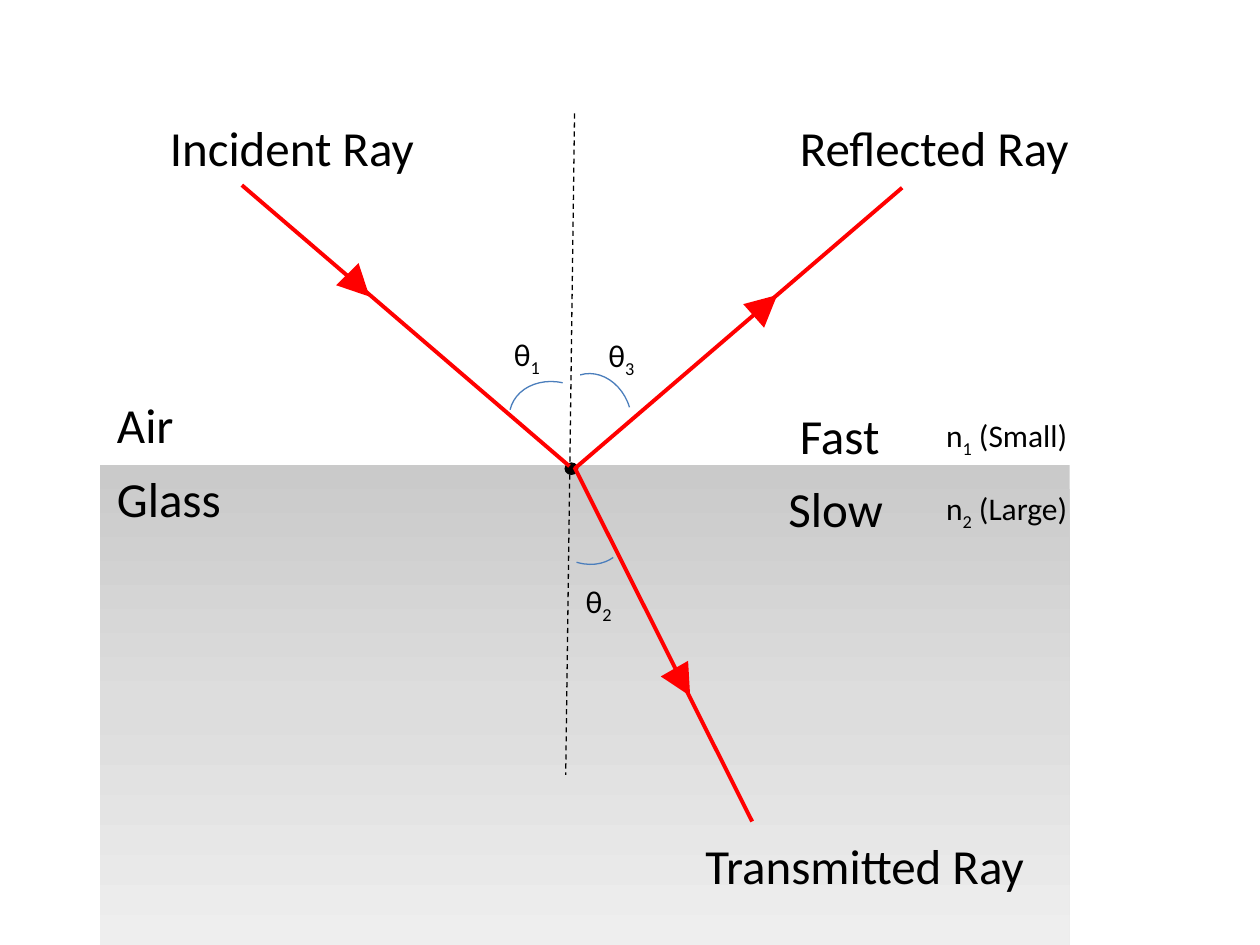
from copy import deepcopy
from dataclasses import dataclass

from pptx import Presentation
from pptx.dml.color import RGBColor
from pptx.enum.dml import MSO_LINE
from pptx.enum.shapes import MSO_CONNECTOR, MSO_SHAPE as SHAPE
from pptx.enum.text import MSO_AUTO_SIZE as AUTO_SIZE
from pptx.oxml.ns import qn
from pptx.util import Emu, Pt
from lxml.etree import SubElement

PX = 9144


@dataclass(frozen=True)
class Theme:
    font: str = "Calibri"
    label_size: int = 28
    symbol_size: int = 18
    ray_width: float = 2.25
    thin_width: float = 0.75
    ink: str = "000000"
    ray: str = "FF0000"
    arc: str = "4B7EBC"
    glass: tuple = ("CACACA", "DDDDDD", "EEEEEE")


@dataclass(frozen=True)
class Box:
    left: int
    top: int
    width: int
    height: int

    def inner(self, x, y, width, height):
        return Box(self.left + x, self.top + y, width, height)

    def emu(self):
        return [Emu(value * PX) for value in (self.left, self.top, self.width, self.height)]


THEME = Theme()


def color(name):
    return RGBColor.from_string(name)


def add_solid(slide, kind, box, fill, rotation=0):
    shape = slide.shapes.add_shape(kind, *box.emu())
    shape.shadow.inherit = False
    shape.fill.solid()
    shape.fill.fore_color.rgb = color(fill)
    shape.line.fill.background()
    shape.rotation = rotation
    return shape


def add_line(slide, box, start, end, line_color, width, dash=None):
    points = [(box.left + x, box.top + y) for x, y in (start, end)]
    ends = [Emu(value * PX) for point in points for value in point]
    connector = slide.shapes.add_connector(MSO_CONNECTOR.STRAIGHT, *ends)
    connector.line.color.rgb = color(line_color)
    connector.line.width = Pt(width)
    if dash is not None:
        connector.line.dash_style = dash
    SubElement(connector._element.spPr, qn("a:effectLst"))


def add_ray(slide, box, start, end, marker, rotation):
    add_line(slide, box, start, end, THEME.ray, THEME.ray_width)
    add_solid(slide, SHAPE.ISOSCELES_TRIANGLE, box.inner(*marker, 25, 25), THEME.ray, rotation)


def add_arc(slide, box, x, y, rotation, angles=()):
    shape = slide.shapes.add_shape(SHAPE.ARC, *box.inner(x, y, 60, 72).emu())
    shape.shadow.inherit = False
    shape.fill.background()
    shape.line.color.rgb = color(THEME.arc)
    shape.line.width = Pt(THEME.thin_width)
    shape.rotation = rotation
    for index, angle in enumerate(angles):
        shape.adjustments[index] = angle


def add_text(slide, box, size, text, subscript="", suffix="", wrap=False):
    frame = slide.shapes.add_textbox(*box.emu()).text_frame
    frame.word_wrap = wrap
    frame.auto_size = AUTO_SIZE.SHAPE_TO_FIT_TEXT
    paragraph = frame.paragraphs[0]
    for part, baseline in ((text, 0), (subscript, -25000), (suffix, 0)):
        if not part:
            continue
        run = paragraph.add_run()
        run.text = part
        run.font.name = THEME.font
        run.font.size = Pt(size)
        run.font.color.rgb = color(THEME.ink)
        if baseline:
            run._r.get_or_add_rPr().set("baseline", str(baseline))


def add_label(slide, box, x, y, width, text, wrap=False):
    add_text(slide, box.inner(x, y, width, 57), THEME.label_size, text, wrap=wrap)


def add_symbol(slide, box, x, y, width, text, subscript, suffix=""):
    add_text(slide, box.inner(x, y, width, 40), THEME.symbol_size, text, subscript, suffix)


def draw_glass_body(slide, box):
    shape = add_solid(slide, SHAPE.RECTANGLE, box, THEME.glass[0])
    shape.fill.gradient()
    shape.fill.gradient_angle = 270
    first = shape._element.spPr.find(".//" + qn("a:gs"))
    middle = deepcopy(first)
    first.addnext(middle)
    for stop, name, position in zip(shape.fill.gradient_stops, THEME.glass, (0, 0.5, 1)):
        stop.color.rgb = color(name)
        stop.position = position


def draw_boundary(slide, box):
    add_line(slide, box, (377, 2), (370, 527), THEME.ink, THEME.thin_width, MSO_LINE.DASH)
    add_solid(slide, SHAPE.OVAL, box.inner(369, 279, 11, 10), THEME.ink)


def draw_air(slide, box):
    add_ray(slide, box, (113, 59), (373, 282), (193, 126), 135.4)
    add_ray(slide, box, (377, 284), (637, 61), (516, 142), 48.5)
    add_symbol(slide, box, 394, 174, 42, "θ", "3")
    add_symbol(slide, box, 319, 173, 42, "θ", "1")
    add_label(slide, box, 4, 220, 75, "Air", wrap=True)
    add_label(slide, box, 46, 0, 216, "Incident Ray")
    add_label(slide, box, 546, 0, 236, "Reflected Ray")
    add_label(slide, box, 546, 229, 100, "Fast", wrap=True)
    add_symbol(slide, box, 662, 237, 119, "n", "1", " (Small)")
    add_arc(slide, box, 362, 208, 343.1)
    add_arc(slide, box, 331, 209, 282.7)


def draw_glass(slide, box):
    add_ray(slide, box, (377, 2), (518, 283), (450, 160), 150.2)
    add_symbol(slide, box, 376, 88, 42, "θ", "2")
    add_label(slide, box, 4, -2, 117, "Glass", wrap=True)
    add_label(slide, box, 471, 289, 276, "Transmitted Ray")
    add_label(slide, box, 537, 6, 117, "Slow", wrap=True)
    add_symbol(slide, box, 662, 14, 119, "n", "2", " (Large)")
    add_arc(slide, box, 354, 11, 123.6, (170.82, 201.99))


def main():
    presentation = Presentation()
    presentation.slide_width = Emu(1000 * PX)
    presentation.slide_height = Emu(750 * PX)
    slide = presentation.slides.add_slide(presentation.slide_layouts[6])
    diagram = Box(79, 88, 770, 662)
    air = diagram.inner(0, 0, 770, 281)
    glass = diagram.inner(0, air.height, 770, diagram.height - air.height)
    draw_glass_body(slide, glass)
    draw_boundary(slide, diagram)
    draw_air(slide, air)
    draw_glass(slide, glass)
    presentation.save("out.pptx")


if __name__ == "__main__":
    main()
